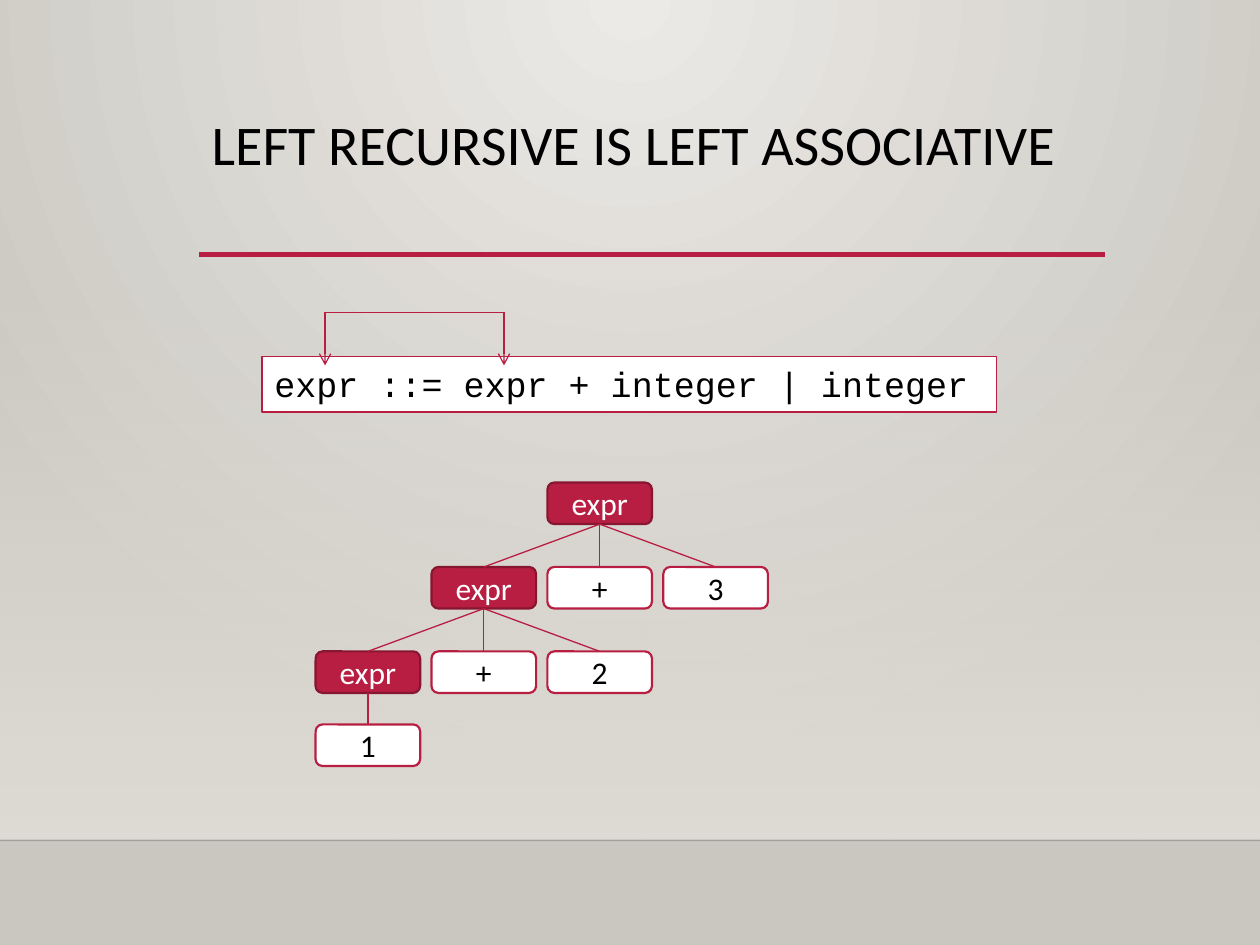
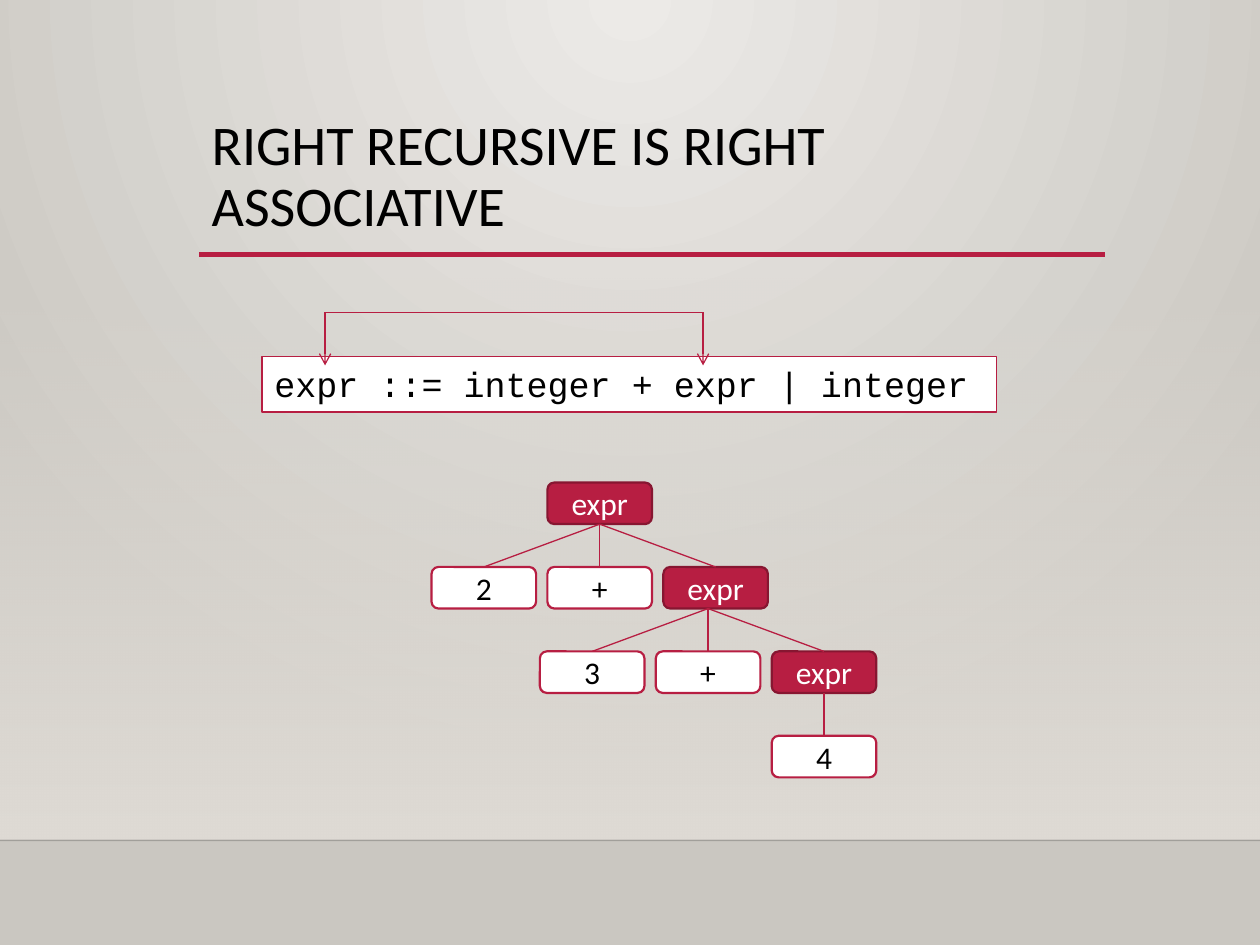
from lxml.etree import SubElement
from pptx import Presentation
from pptx.dml.color import RGBColor
from pptx.enum.shapes import MSO_CONNECTOR, MSO_SHAPE
from pptx.enum.text import MSO_ANCHOR, MSO_AUTO_SIZE, PP_ALIGN
from pptx.oxml.ns import qn
from pptx.util import Inches, Pt

COLORS = {
    "glow": "ECEAE7", "stone": "CAC7C1", "panel": "DFDBD5",
    "crimson": "B71E42", "wine": "871631",
    "black": "000000", "edge": "000001", "white": "FFFFFF",
}
SANS, MONO = "Calibri", "Courier New"
NODE_WIDTH, NODE_HEIGHT, NODE_PITCH = 0.83, 0.33, 0.92
ROOT_CENTER, ROOT_TOP, ROW_STEP = 4.76, 3.83, 0.67
GRAMMAR_LEFT, BRACKET_TOP, BRACKET_BOTTOM = 2.58, 2.48, 2.9


def rgb(name):
    return RGBColor.from_string(COLORS[name])


def set_gradient(fill, first, last):
    fill.gradient()
    for stop, name in zip(fill.gradient_stops, (first, last)):
        stop.color.rgb = rgb(name)


def set_alpha(color_element, percent):
    SubElement(color_element, qn("a:alpha"), val=str(percent * 1000))


def style_background(master):
    set_gradient(master.background.fill, "glow", "stone")
    gradient = master.element.find(".//" + qn("a:gradFill"))
    linear = gradient.find(qn("a:lin"))
    radial = SubElement(gradient, qn("a:path"), path="circle")
    SubElement(radial, qn("a:fillToRect"), l="43000", t="0", r="43000", b="100000")
    gradient.replace(linear, radial)


def add_line(slide, start, end, color="crimson", width=0.75):
    line = slide.shapes.add_connector(
        MSO_CONNECTOR.STRAIGHT, *(Inches(v) for v in (*start, *end)))
    line.line.color.rgb = rgb(color)
    line.line.width = Pt(width)
    SubElement(line._element.spPr, qn("a:effectLst"))
    return line


def add_box(slide, preset, left, top, width, height, fill, border, border_width):
    box = slide.shapes.add_shape(
        preset, *(Inches(v) for v in (left, top, width, height)))
    box.shadow.inherit = False
    box.fill.solid()
    box.fill.fore_color.rgb = rgb(fill)
    box.line.color.rgb = rgb(border)
    box.line.width = Pt(border_width)
    return box


def write(shape, text, font, size, color, align, anchor):
    frame = shape.text_frame
    frame.text = text
    frame.word_wrap = True
    frame.vertical_anchor = anchor
    paragraph = frame.paragraphs[0]
    paragraph.alignment = align
    paragraph.font.name = font
    paragraph.font.size = Pt(size)
    paragraph.font.color.rgb = rgb(color)
    return paragraph


def add_frame(slide):
    panel = slide.shapes.add_shape(
        MSO_SHAPE.RECTANGLE, 0, Inches(2.2), Inches(10), Inches(4.46))
    panel.shadow.inherit = False
    panel.line.fill.background()
    set_gradient(panel.fill, "panel", "panel")
    panel.fill.gradient_angle = 270
    set_alpha(panel._element.spPr.find(".//" + qn("a:srgbClr")), 0)
    floor = add_line(slide, (0, 6.67), (10, 6.67), "edge", 1)
    set_alpha(floor._element.spPr.find(".//" + qn("a:srgbClr")), 20)
    add_line(slide, (1.58, 2.02), (8.77, 2.02), width=2.5)


def add_title(slide, text):
    title = slide.shapes.title
    title.left, title.top = Inches(1.58), Inches(0.88)
    title.width, title.height = Inches(7.19), Inches(1.15)
    paragraph = write(title, text, SANS, 32, "black", PP_ALIGN.LEFT, MSO_ANCHOR.TOP)
    paragraph.line_spacing = 0.9
    title.text_frame.auto_size = MSO_AUTO_SIZE.NONE


def add_grammar(slide, rule):
    box = add_box(slide, MSO_SHAPE.RECTANGLE, 2.08, 2.83, 5.83, 0.44,
                  "white", "crimson", 0.75)
    write(box, rule, MONO, 20, "black", PP_ALIGN.LEFT, MSO_ANCHOR.TOP)
    box.text_frame.auto_size = MSO_AUTO_SIZE.SHAPE_TO_FIT_TEXT


def add_bracket(slide, recursion_x):
    for x in (GRAMMAR_LEFT, recursion_x):
        arrow = add_line(slide, (x, BRACKET_BOTTOM), (x, BRACKET_TOP))
        SubElement(arrow.line._get_or_add_ln(), qn("a:headEnd"), type="arrow")
    add_line(slide, (GRAMMAR_LEFT, BRACKET_TOP), (recursion_x, BRACKET_TOP))


def add_node(slide, label, center, top):
    fill, border, ink = (("crimson", "wine", "white") if label == "expr"
                         else ("white", "crimson", "black"))
    node = add_box(slide, MSO_SHAPE.ROUNDED_RECTANGLE, center - NODE_WIDTH / 2, top,
                   NODE_WIDTH, NODE_HEIGHT, fill, border, 1.25)
    write(node, label, SANS, 18, ink, PP_ALIGN.CENTER, MSO_ANCHOR.MIDDLE)
    return node


def add_tree(slide, rows):
    parent, parent_center = add_node(slide, "expr", ROOT_CENTER, ROOT_TOP), ROOT_CENTER
    parent_top = ROOT_TOP
    branches = []
    for labels, row_center, top in rows:
        for index, label in enumerate(labels):
            center = row_center + (index - len(labels) // 2) * NODE_PITCH
            child = add_node(slide, label, center, top)
            joined = abs(row_center - parent_center) < 0.02
            branches.append((parent, joined, (row_center, parent_top + NODE_HEIGHT),
                             child, (center, top)))
            if label == "expr":
                next_parent, next_center = child, center
        parent, parent_center, parent_top = next_parent, next_center, top
    for upper, joined, start, lower, end in branches:
        branch = add_line(slide, start, end)
        if joined:
            branch.begin_connect(upper, 2)
        branch.end_connect(lower, 0)


def add_recursion_slide(prs, title, rule, recursion_x, rows):
    slide = prs.slides.add_slide(prs.slide_layouts[5])
    add_frame(slide)
    add_title(slide, title)
    add_grammar(slide, rule)
    add_tree(slide, rows)
    add_bracket(slide, recursion_x)


def main():
    prs = Presentation()
    prs.slide_width, prs.slide_height = Inches(10), Inches(7.5)
    style_background(prs.slide_master)
    second, third = ROOT_TOP + ROW_STEP, ROOT_TOP + 2 * ROW_STEP
    add_recursion_slide(
        prs, "LEFT RECURSIVE IS LEFT ASSOCIATIVE",
        "expr ::= expr + integer | integer", 4,
        [(["expr", "+", "3"], ROOT_CENTER, second),
         (["expr", "+", "2"], ROOT_CENTER - NODE_PITCH, third),
         (["1"], ROOT_CENTER - 2 * NODE_PITCH, 5.75)])
    add_recursion_slide(
        prs, "RIGHT RECURSIVE IS RIGHT ASSOCIATIVE",
        "expr ::= integer + expr | integer", 5.58,
        [(["2", "+", "expr"], ROOT_CENTER, second),
         (["3", "+", "expr"], 5.62, third),
         (["4"], 5.62 + NODE_PITCH, ROOT_TOP + 3 * ROW_STEP)])
    prs.save("out.pptx")


if __name__ == "__main__":
    main()
